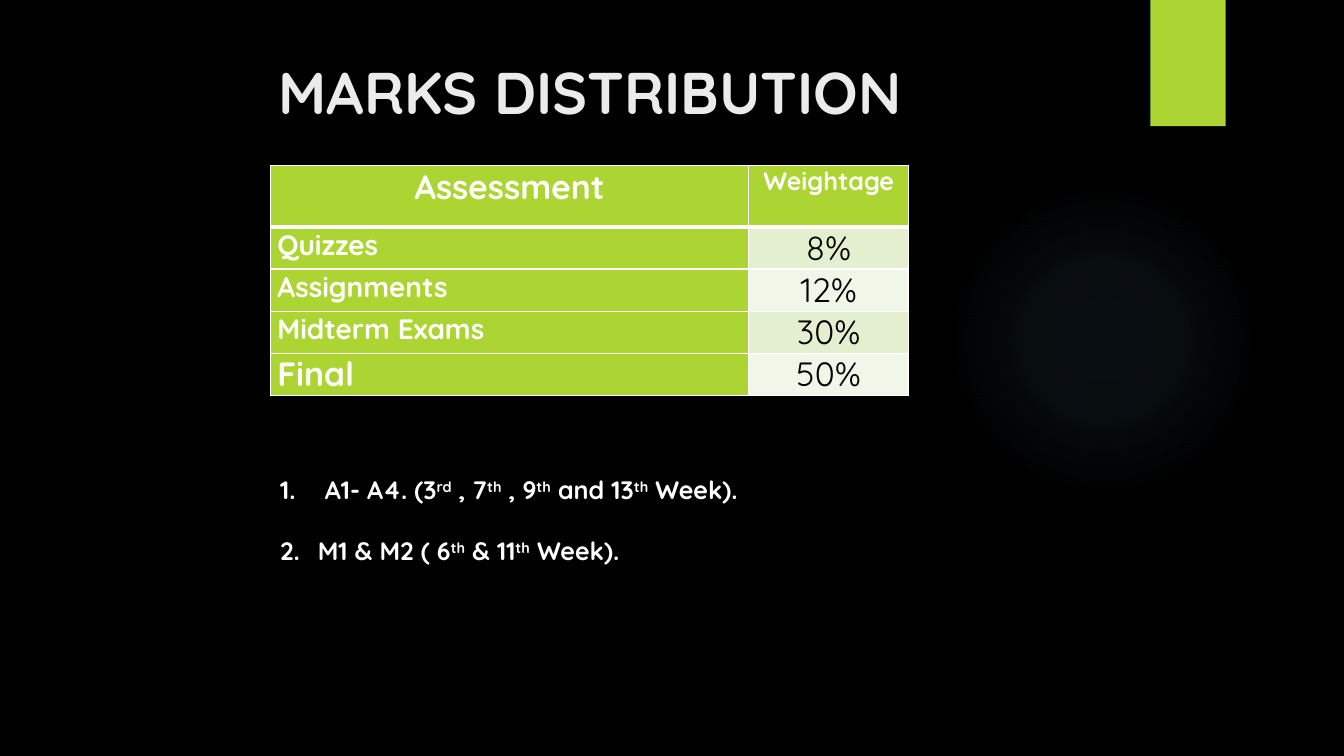
"""Build the marks distribution slide with its assessment table and week notes."""
from dataclasses import dataclass

from lxml import etree
from pptx import Presentation
from pptx import util as u
from pptx.dml import color
from pptx.enum import shapes, text
from pptx.oxml import ns

FONT = "Quicksand"
LIME = "ACD433"
WHITE = "FFFFFF"
BLACK = "000000"
BANDS = ("E3EFCE", "F1F7E8")
LEFT = text.PP_ALIGN.LEFT
CENTER = text.PP_ALIGN.CENTER


@dataclass(frozen=True)
class Assessment:
    name: str
    weight: str
    size: int = 20


@dataclass(frozen=True)
class Note:
    content: str
    gap: int = 0


ASSESSMENTS = (
    Assessment("Quizzes", "8%"),
    Assessment("Assignments", "12%"),
    Assessment("Midterm Exams", "30%"),
    Assessment("Final", "50%", 24),
)
NOTES = (
    Note(" A1- A4. (3^rd^ , 7^th^ , 9^th^ and 13^th^ Week)."),
    Note("M1 & M2 ( 6^th^ & 11^th^ Week).", 22),
)


def rgb(value: str) -> color.RGBColor:
    """Turn a hex string into a colour."""
    return color.RGBColor.from_string(value)


def add_child(parent, tag: str, **attributes: str):
    """Append a drawing element with its attributes."""
    child = etree.SubElement(parent, ns.qn(f"a:{tag}"))
    for name, value in attributes.items():
        child.set(name, value)
    return child


def write(para, content: str, *, size: int, ink: str = WHITE,
          bold: bool = True, align=LEFT) -> None:
    """Fill a paragraph, raising the parts enclosed in carets."""
    para.alignment = align
    for index, part in enumerate(content.split("^")):
        span = para.add_run()
        span.text = part
        span.font.name = FONT
        span.font.size = u.Pt(size)
        span.font.bold = bold
        span.font.color.rgb = rgb(ink)
        if index % 2:
            span.font._element.set("baseline", "30000")


def add_frame(page, left: float, top: float, width: float, height: float):
    """Add a wrapping text box and return its text frame."""
    box = page.shapes.add_textbox(u.Cm(left), u.Cm(top), u.Cm(width), u.Cm(height))
    box.text_frame.word_wrap = True
    box.text_frame.vertical_anchor = text.MSO_ANCHOR.TOP
    return box.text_frame


def add_decor(page) -> None:
    """Add the soft glow and the corner tab."""
    glow = page.shapes.add_shape(shapes.MSO_SHAPE.OVAL, u.Cm(23.9), u.Cm(4.65),
                                 u.Cm(7.82), u.Cm(7.82))
    tab = page.shapes.add_shape(shapes.MSO_SHAPE.RECTANGLE, u.Cm(28.99), 0,
                                u.Cm(1.9), u.Cm(3.18))
    for shape in (glow, tab):
        shape.shadow.inherit = False
        shape.line.fill.background()
    tab.fill.solid()
    tab.fill.fore_color.rgb = rgb(LIME)

    glow.fill.gradient()
    gradient = glow._element.spPr.find(ns.qn("a:gradFill"))
    for child in list(gradient):
        gradient.remove(child)
    stops = add_child(gradient, "gsLst")
    for position, opacity in ((0, 7), (36, 6), (69, 0)):
        stop = add_child(stops, "gs", pos=str(position * 1000))
        tint = add_child(stop, "srgbClr", val="7AC4F0")
        add_child(tint, "alpha", val=str(opacity * 1000))
    focus = add_child(gradient, "path", path="circle")
    add_child(focus, "fillToRect", l="50000", t="50000", r="50000", b="50000")


def fill_cell(cell, content: str, *, fill: str, header: bool = False, **style) -> None:
    """Write a table cell with its fill and white borders."""
    cell.margin_left = cell.margin_right = u.Cm(0.18)
    cell.margin_top = cell.margin_bottom = 0
    cell.vertical_anchor = text.MSO_ANCHOR.TOP
    cell.fill.solid()
    cell.fill.fore_color.rgb = rgb(fill)
    write(cell.text_frame.paragraphs[0], content, **style)
    properties = cell._tc.get_or_add_tcPr()
    for index, side in enumerate(("lnL", "lnR", "lnT", "lnB")):
        points = 3 if header and side == "lnB" else 1
        border = add_child(properties, side, w=str(u.Pt(points)))
        add_child(add_child(border, "solidFill"), "srgbClr", val=WHITE)
        properties.insert(index, border)


def add_marks(page) -> None:
    """Add the table of assessments and weights."""
    rows = len(ASSESSMENTS) + 1
    table = page.shapes.add_table(rows, 2, u.Cm(6.81), u.Cm(4.17),
                                  u.Cm(16.09), u.Cm(5.79)).table
    table.horz_banding = False
    for column, width in zip(table.columns, (12.06, 4.03)):
        column.width = u.Cm(width)
    for index, row in enumerate(table.rows):
        row.height = u.Cm(1.06 if index else 1.55)
    for column, (label, size) in enumerate((("Assessment", 24), ("Weightage", 18))):
        fill_cell(table.cell(0, column), label, fill=LIME, header=True,
                  size=size, align=CENTER)
    for index, item in enumerate(ASSESSMENTS):
        fill_cell(table.cell(index + 1, 0), item.name, fill=LIME, size=item.size)
        fill_cell(table.cell(index + 1, 1), item.weight, fill=BANDS[index % 2],
                  size=24, ink=BLACK, bold=False, align=CENTER)


def add_notes(page) -> None:
    """Add the numbered week notes."""
    frame = add_frame(page, 6.81, 11.05, 20.32, 4.11)
    frame.margin_top = u.Cm(0.91)
    for index, note in enumerate(NOTES):
        para = frame.add_paragraph() if index else frame.paragraphs[0]
        para.space_before = u.Pt(note.gap)
        write(para, note.content, size=18)
        properties = para._p.get_or_add_pPr()
        indent = u.Cm(0.95)
        properties.set("marL", str(indent))
        properties.set("indent", str(-indent))
        add_child(properties, "buFont", typeface=FONT)
        add_child(properties, "buAutoNum", type="arabicPeriod")


def main() -> None:
    """Assemble and save the deck."""
    deck = Presentation()
    deck.slide_width, deck.slide_height = u.Cm(33.87), u.Cm(19.05)
    page = deck.slides.add_slide(deck.slide_layouts[6])
    page.background.fill.solid()
    page.background.fill.fore_color.rgb = rgb(BLACK)
    add_decor(page)
    title = add_frame(page, 1.8, 1.27, 26.14, 2.9)
    write(title.paragraphs[0], "MARKS DISTRIBUTION", size=42, ink="EBEBEB", align=CENTER)
    add_marks(page)
    add_notes(page)
    deck.save("out.pptx")


if __name__ == "__main__":
    main()
